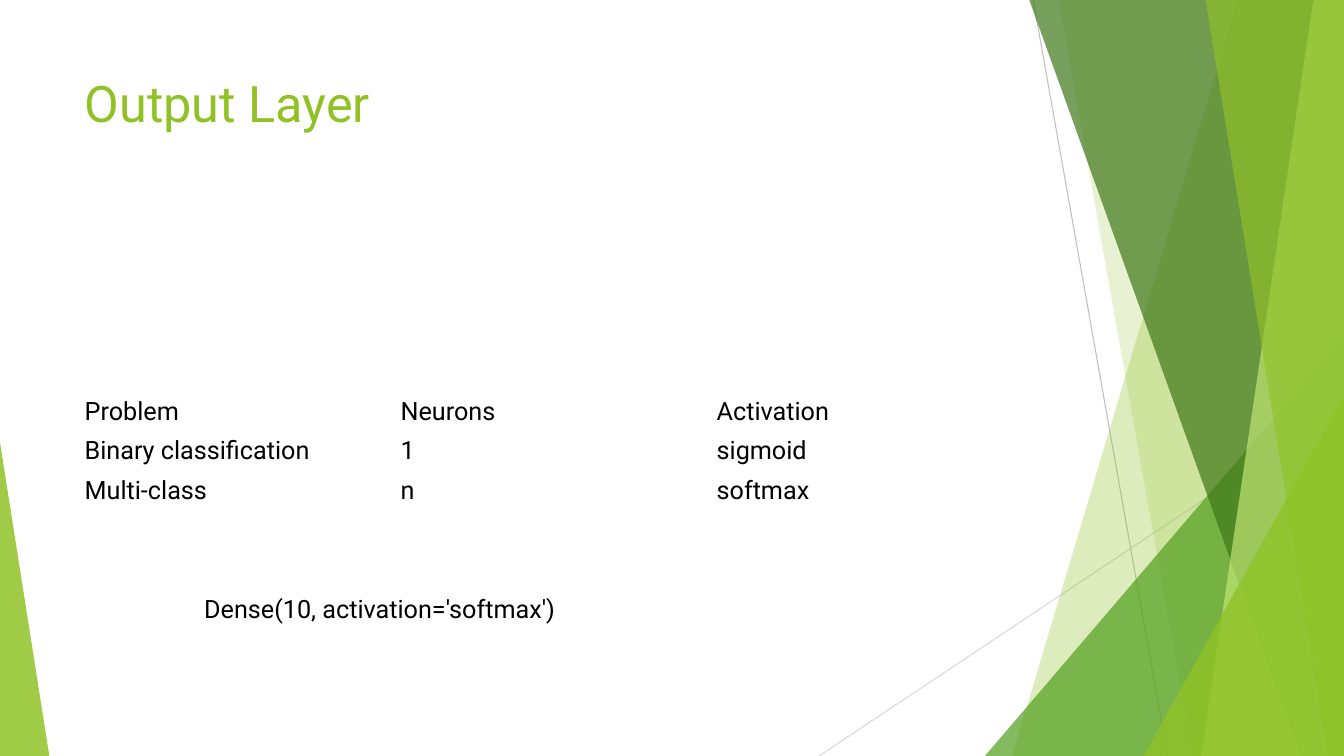
from pptx import Presentation
from pptx.dml.color import RGBColor
from pptx.enum.shapes import MSO_CONNECTOR, MSO_SHAPE
from pptx.enum.text import MSO_ANCHOR, PP_ALIGN
from pptx.oxml.ns import qn
from pptx.util import Pt
from lxml import etree

EMU_PER_PX = 9525
W, H = 1280, 720
STRAIGHT = MSO_CONNECTOR.STRAIGHT
TRIANGLE = MSO_SHAPE.ISOSCELES_TRIANGLE
TOP, MIDDLE = MSO_ANCHOR.TOP, MSO_ANCHOR.MIDDLE
LEFT = PP_ALIGN.LEFT
TITLE_ONLY = 5

COLORS = {
    "lime": "90C226",
    "green": "54A021",
    "forest": "3F7819",
    "pale": "C0E474",
    "gray": "BFBFBF",
    "light_gray": "D9D9D9",
    "text": "000000",
}


def px(n):
    return n * EMU_PER_PX


def rgb(name):
    return RGBColor.from_string(COLORS[name])


def write(tf, text, size=18, color="text", font="Roboto", anchor=TOP):
    tf.word_wrap = True
    tf.vertical_anchor = anchor
    p = tf.paragraphs[0]
    p.alignment = LEFT
    r = p.add_run()
    r.text = text
    r.font.size = Pt(size)
    r.font.name = font
    r.font.bold = False
    r.font.color.rgb = rgb(color)


class SlideBuilder:
    def __init__(self, prs):
        self.s = prs.slides.add_slide(prs.slide_layouts[TITLE_ONLY])
        self.shapes = self.s.shapes

    def paint(self, sp, color, opacity):
        sp.shadow.inherit = False
        sp.line.fill.background()
        sp.fill.solid()
        sp.fill.fore_color.rgb = rgb(color)
        clr = sp.fill._xPr.find(".//" + qn("a:srgbClr"))
        etree.SubElement(clr, qn("a:alpha"), val=str(opacity * 1000))

    def line(self, x1, y1, x2, y2, color):
        cx = self.shapes.add_connector(STRAIGHT, px(x1), px(y1), px(x2), px(y2))
        cx.line.color.rgb = rgb(color)
        cx.line.width = Pt(0.75)
        etree.SubElement(cx._element.spPr, qn("a:effectLst"))

    def ribbon(self, top_x, bottom_x, color, opacity):
        """Fill from a slanted left edge to the right side of the slide."""
        fb = self.shapes.build_freeform(top_x, -1, scale=EMU_PER_PX)
        fb.add_line_segments([(W, -1), (W, H), (bottom_x, H)], close=True)
        self.paint(fb.convert_to_shape(), color, opacity)

    def triangle(self, x, y, w, apex, color, opacity):
        """Stand a triangle on the bottom edge; apex runs from 0 to 1."""
        sp = self.shapes.add_shape(TRIANGLE, px(x), px(y), px(w), px(H - y))
        sp.adjustments[0] = apex
        self.paint(sp, color, opacity)

    def title(self, text, x, y, w, h):
        sp = self.shapes.title
        sp.left, sp.top, sp.width, sp.height = px(x), px(y), px(w), px(h)
        write(sp.text_frame, text, size=36, color="lime")

    def text(self, text, x, y, w, h):
        sp = self.shapes.add_textbox(px(x), px(y), px(w), px(h))
        write(sp.text_frame, text)

    def table(self, rows, x, y, w, row_h):
        n_rows, n_cols = len(rows), len(rows[0])
        frame = self.shapes.add_table(n_rows, n_cols, px(x), px(y), px(w), px(row_h * n_rows))
        table = frame.table
        table.first_row = table.horz_banding = False
        for i, row in enumerate(rows):
            for j, value in enumerate(row):
                cell = table.cell(i, j)
                cell.fill.background()
                cell.vertical_anchor = MIDDLE
                write(cell.text_frame, value, anchor=None)


def main():
    prs = Presentation()
    prs.slide_width, prs.slide_height = px(W), px(H)
    b = SlideBuilder(prs)

    # Decorative facets, back to front
    b.line(984, 0, 1112, H, "gray")
    b.line(W, 387, 780, H, "light_gray")
    b.ribbon(1179, 964, "lime", 30)
    b.ribbon(1008, 1136, "lime", 20)
    b.triangle(938, 320, 342, 1, "green", 72)
    b.ribbon(980, 1239, "forest", 70)
    b.ribbon(1251, 1144, "pale", 70)
    b.ribbon(1148, 1265, "lime", 65)
    b.triangle(1089, 377, 191, 1, "lime", 80)
    b.triangle(0, 421, 47, 0, "lime", 85)

    # Title, table of output choices and code example
    b.title("Output Layer", 71, 64, 902, 138)
    b.table([
        ["Problem", "Neurons", "Activation"],
        ["Binary classification", "1", "sigmoid"],
        ["Multi-class", "n", "softmax"],
    ], 71, 373, 903, 37)
    b.text("Dense(10, activation='softmax')", 185, 560, 640, 38)

    prs.save("out.pptx")


if __name__ == "__main__":
    main()
